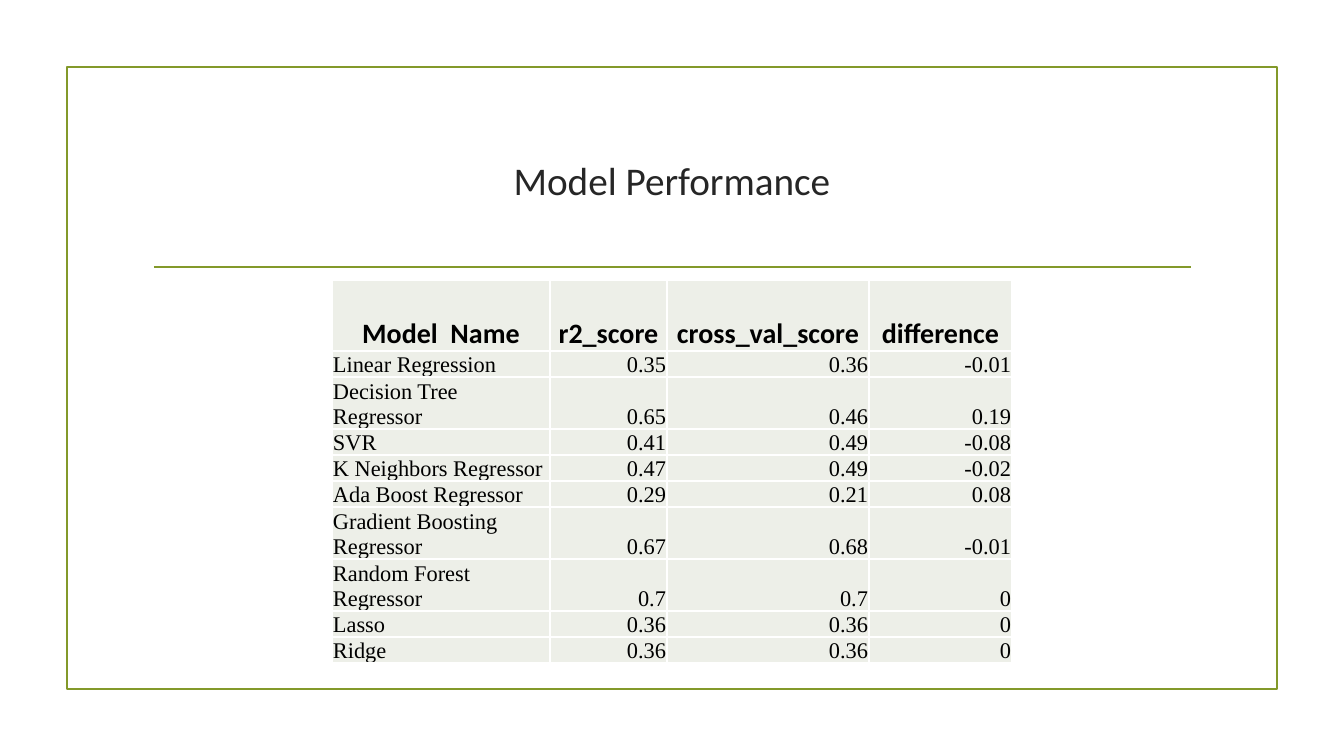
from pptx import Presentation
from pptx import util as u
from pptx.dml.color import RGBColor
from pptx.enum import shapes, text
from pptx.oxml import parse_xml
from pptx.oxml.ns import nsdecls

TITLE = "Model Performance"
HEADERS = ["Model  Name", "r2_score", "cross_val_score", "difference"]
MODELS = [
    ("Linear Regression", "0.35", "0.36", "-0.01"),
    ("Decision Tree Regressor", "0.65", "0.46", "0.19"),
    ("SVR", "0.41", "0.49", "-0.08"),
    ("K Neighbors Regressor", "0.47", "0.49", "-0.02"),
    ("Ada Boost Regressor", "0.29", "0.21", "0.08"),
    ("Gradient Boosting Regressor", "0.67", "0.68", "-0.01"),
    ("Random Forest Regressor", "0.7", "0.7", "0"),
    ("Lasso", "0.36", "0.36", "0"),
    ("Ridge", "0.36", "0.36", "0"),
]
COLUMN_WIDTHS = [218, 117, 202, 143]
HEADER_HEIGHT, LINE_HEIGHT = 71, 26
WRAP_LENGTH = 22

GREEN = RGBColor(0x83, 0x99, 0x2A)
DARK = RGBColor(0x26, 0x26, 0x26)
BLACK = RGBColor(0, 0, 0)
PALE = RGBColor(0xED, 0xEF, 0xE8)
WHITE = RGBColor(0xFF, 0xFF, 0xFF)


def px(length):
    """Turn px into EMU."""
    return u.Emu(round(length * 914400 / 100.8))


def write(frame, words, size, font="Calibri", color=BLACK, bold=False,
          align=text.PP_ALIGN.CENTER):
    """Put one formatted paragraph in a text frame."""
    para = frame.paragraphs[0]
    para.alignment = align
    span = para.add_run()
    span.text = words
    span.font.size = u.Pt(size)
    span.font.name = font
    span.font.bold = bold
    span.font.color.rgb = color


def add_frame(page):
    """Draw the green border and the rule under the title."""
    border = page.shapes.add_shape(
        shapes.MSO_SHAPE.RECTANGLE, px(67), px(67), px(1210), px(622))
    border.shadow.inherit = False
    border.fill.background()
    rule = page.shapes.add_connector(
        shapes.MSO_CONNECTOR.STRAIGHT, px(154), px(267), px(1191), px(267))
    rule._element.spPr.append(parse_xml(f"<a:effectLst {nsdecls('a')}/>"))
    for outline in (border.line, rule.line):
        outline.color.rgb = GREEN
        outline.width = u.Pt(1.25)


def add_title(page):
    """Place and format the title."""
    title = page.shapes.title
    title.left, title.top, title.width, title.height = map(px, (143, 108, 1058, 144))
    title.text_frame.vertical_anchor = text.MSO_ANCHOR.MIDDLE
    write(title.text_frame, TITLE, 28, color=DARK)


def style_cell(cell):
    """Give a cell its margins, borders and fill."""
    cell.vertical_anchor = text.MSO_ANCHOR.BOTTOM
    cell.margin_left = cell.margin_right = cell.margin_top = px(1)
    cell.margin_bottom = 0
    properties = cell._tc.get_or_add_tcPr()
    for side in ("lnL", "lnR", "lnT", "lnB"):
        properties.append(parse_xml(
            f'<a:{side} {nsdecls("a")} w="12700"><a:solidFill>'
            f'<a:srgbClr val="{WHITE}"/></a:solidFill></a:{side}>'))
    cell.fill.solid()
    cell.fill.fore_color.rgb = PALE


def add_scores(page):
    """Build the table of model scores."""
    heights = [HEADER_HEIGHT] + [
        LINE_HEIGHT * (2 if len(model[0]) > WRAP_LENGTH else 1) for model in MODELS]
    table = page.shapes.add_table(
        len(heights), len(HEADERS), px(332), px(280),
        px(sum(COLUMN_WIDTHS)), px(sum(heights))).table
    table.horz_banding = False
    for column, width in zip(table.columns, COLUMN_WIDTHS):
        column.width = px(width)
    for row, height in zip(table.rows, heights):
        row.height = px(height)
    for r, values in enumerate([HEADERS] + MODELS):
        for c, value in enumerate(values):
            cell = table.cell(r, c)
            style_cell(cell)
            if r == 0:
                write(cell.text_frame, value, 20, bold=True)
            else:
                align = text.PP_ALIGN.RIGHT if c else text.PP_ALIGN.LEFT
                write(cell.text_frame, value, 16, font="Times New Roman", align=align)


def main():
    """Build and save the slide."""
    deck = Presentation()
    deck.slide_width, deck.slide_height = px(1344), px(756)
    page = deck.slides.add_slide(deck.slide_layouts[5])
    add_frame(page)
    add_title(page)
    add_scores(page)
    deck.save("out.pptx")


if __name__ == "__main__":
    main()
